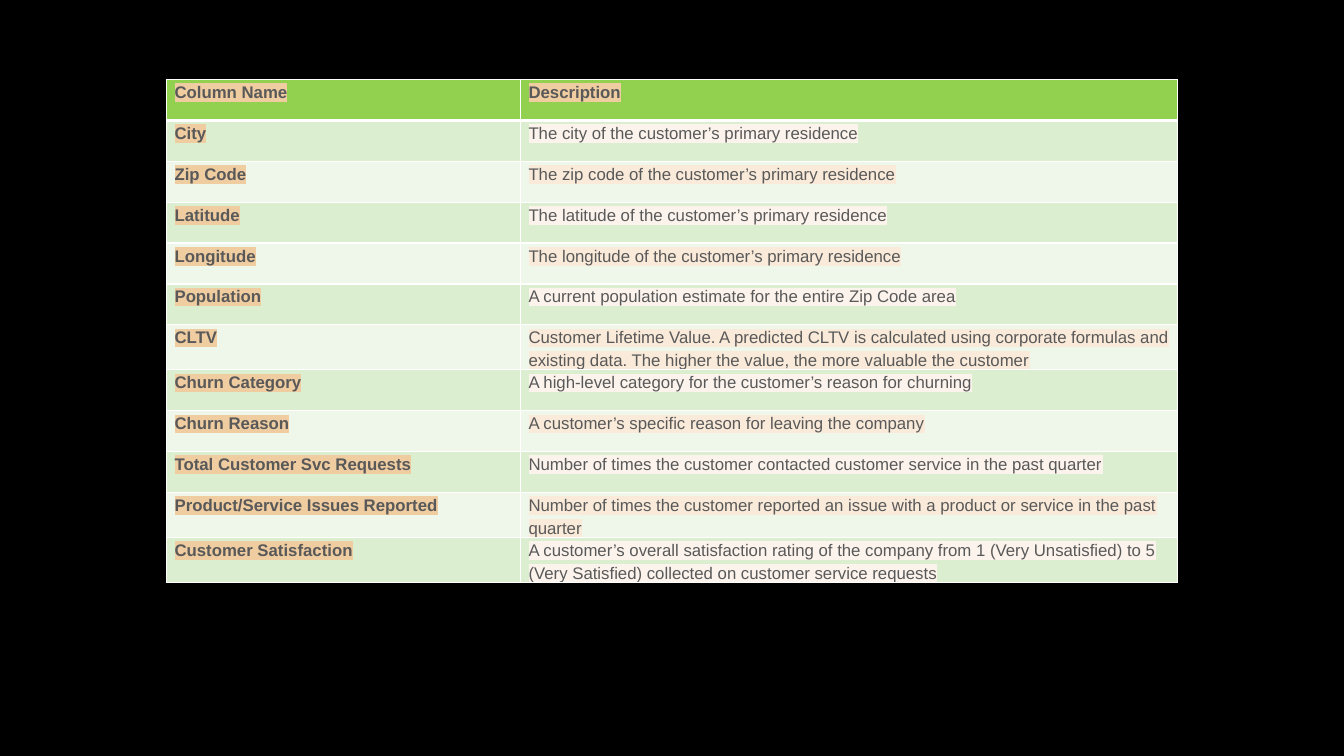
from lxml.etree import SubElement
from pptx import Presentation
from pptx.dml.color import RGBColor as Rgb
from pptx.oxml.ns import qn
from pptx.util import Pt

HEAD = ("Column Name", "Description")
ROWS = [
    ("City", "The city of the customer’s primary residence"),
    ("Zip Code", "The zip code of the customer’s primary residence"),
    ("Latitude", "The latitude of the customer’s primary residence"),
    ("Longitude", "The longitude of the customer’s primary residence"),
    ("Population", "A current population estimate for the entire Zip Code area"),
    ("CLTV", "Customer Lifetime Value. A predicted CLTV is calculated using "
     "corporate formulas and existing data. The higher the value, the more "
     "valuable the customer"),
    ("Churn Category", "A high-level category for the customer’s reason for churning"),
    ("Churn Reason", "A customer’s specific reason for leaving the company"),
    ("Total Customer Svc Requests",
     "Number of times the customer contacted customer service in the past quarter"),
    ("Product/Service Issues Reported",
     "Number of times the customer reported an issue with a product or "
     "service in the past quarter"),
    ("Customer Satisfaction",
     "A customer’s overall satisfaction rating of the company from 1 (Very "
     "Unsatisfied) to 5 (Very Satisfied) collected on customer service requests"),
]
TINT = "F0CDA1"
BANDS = (("DCEED0", "FCF4EC"), ("EEF7E9", "F9EAD9"))


def paint(fill, color):
    fill.solid()
    fill.fore_color.rgb = Rgb.from_string(color)


def border(cell, top, bottom):
    props = cell._tc.get_or_add_tcPr()
    for side, width in (("L", 1), ("R", 1), ("T", top), ("B", bottom)):
        line = SubElement(props, qn("a:ln" + side), w=str(Pt(width)))
        solid = SubElement(line, qn("a:solidFill"))
        SubElement(solid, qn("a:srgbClr"), val="FFFFFF")


def write(cell, text, bold, tint):
    cell.margin_left = cell.margin_right = Pt(5.9)
    cell.margin_top = cell.margin_bottom = 0
    cell.text_frame.text = text
    para = cell.text_frame.paragraphs[0]
    para.line_spacing = 1.2
    run = para.runs[0]
    run.font.size = Pt(12)
    run.font.bold = bold
    paint(run.font.fill, "595959")
    mark = SubElement(run._r.get_or_add_rPr(), qn("a:highlight"))
    SubElement(mark, qn("a:srgbClr"), val=tint)
    run.font.name = "Arial"


def fields(slide, left, top, width, row_height):
    data = [HEAD, *ROWS]
    frame = slide.shapes.add_table(len(data), 2, Pt(left), Pt(top),
                                   Pt(width), Pt(row_height * len(data)))
    table = frame.table
    for col, share in zip(table.columns, (0.35, 0.65)):
        col.width = Pt(width * share)
    for r, texts in enumerate(data):
        table.rows[r].height = Pt(row_height)
        back, pale = BANDS[(r - 1) % 2] if r else ("92D050", TINT)
        for c, text in enumerate(texts):
            cell = table.cell(r, c)
            border(cell, 3 if r == 1 else 1, 1 if r else 3)
            paint(cell.fill, back)
            write(cell, text, r == 0 or c == 0, pale if c else TINT)


def main():
    deck = Presentation()
    deck.slide_width, deck.slide_height = Pt(960), Pt(540)
    slide = deck.slides.add_slide(deck.slide_layouts[6])
    paint(slide.background.fill, "000000")
    fields(slide, 118.8, 56.8, 722.4, 29.2)
    deck.save("out.pptx")


if __name__ == "__main__":
    main()
